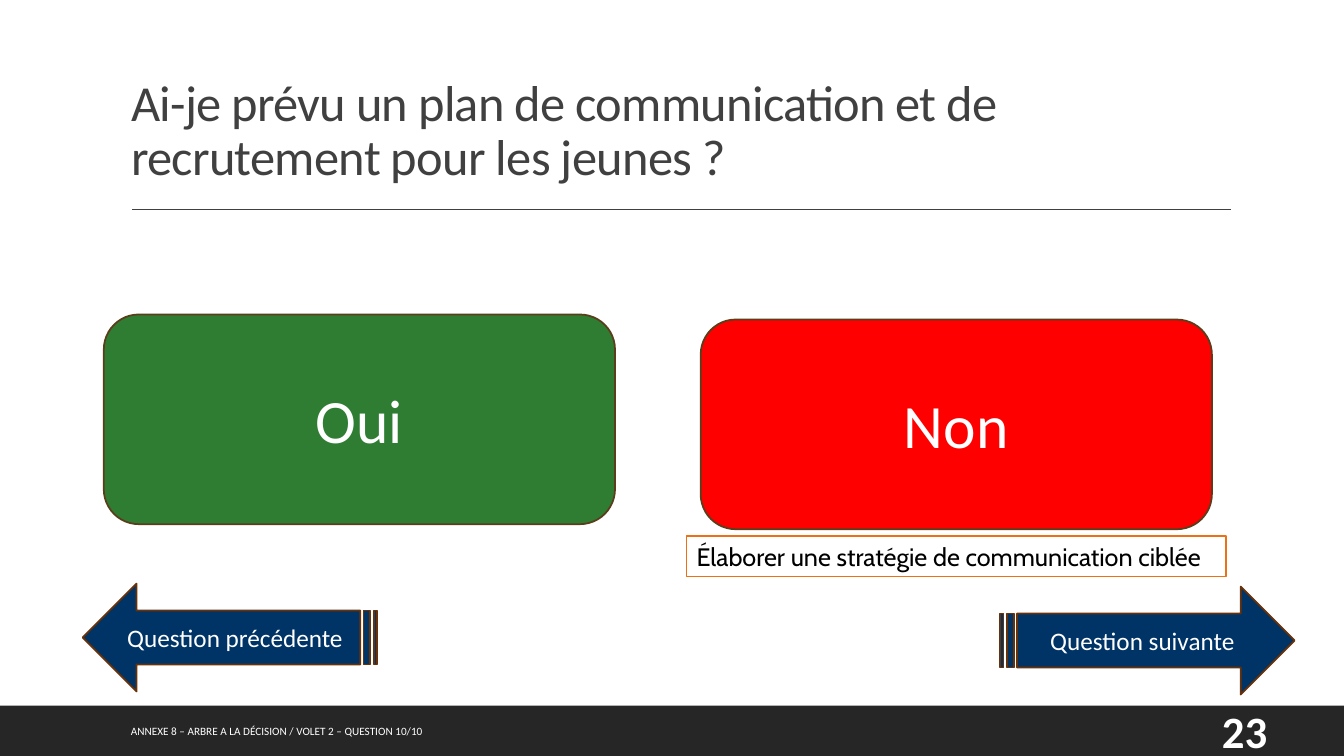
from pptx import Presentation
from pptx.dml.color import RGBColor
from pptx.enum.shapes import MSO_CONNECTOR, MSO_SHAPE
from pptx.enum.text import MSO_ANCHOR, MSO_AUTO_SIZE, PP_ALIGN
from pptx.oxml.ns import qn
from pptx.util import Inches, Pt
from lxml.etree import SubElement


def write(shape, text, size, color, align, anchor=MSO_ANCHOR.MIDDLE, font="Calibri"):
    frame = shape.text_frame
    frame.word_wrap = True
    frame.vertical_anchor = anchor
    para = frame.paragraphs[0]
    para.alignment = align
    span = para.add_run()
    span.text = text
    span.font.name = font
    span.font.size = Pt(size)
    span.font.color.rgb = RGBColor.from_string(color)
    return para, span


def paint(shape, fill, line=None):
    shape.fill.solid()
    shape.fill.fore_color.rgb = RGBColor.from_string(fill)
    if line:
        shape.line.color.rgb = RGBColor.from_string(line)
        shape.line.width = Pt(1.25)
    else:
        shape.line.fill.background()
    shape.shadow.inherit = False


deck = Presentation()
deck.slide_width = Inches(13.33)
deck.slide_height = Inches(7.5)
page = deck.slides.add_slide(deck.slide_layouts[5])
shapes = page.shapes

footer_band = shapes.add_shape(MSO_SHAPE.RECTANGLE, 0, Inches(7), Inches(13.33), Inches(0.5))
paint(footer_band, "262626")

rule = shapes.add_connector(
    MSO_CONNECTOR.STRAIGHT, Inches(1.31), Inches(2.08), Inches(12.21), Inches(2.08))
rule.line.color.rgb = RGBColor.from_string("404040")
rule.line.width = Pt(1)
SubElement(rule._element.spPr, qn("a:effectLst"))

title = shapes.title
title.left, title.top = Inches(1.2), Inches(0.31)
title.width, title.height = Inches(11), Inches(1.59)
para, span = write(
    title, "Ai-je prévu un plan de communication et de recrutement pour les jeunes ?",
    36, "404040", PP_ALIGN.LEFT, MSO_ANCHOR.BOTTOM)
title.text_frame.auto_size = MSO_AUTO_SIZE.NONE
para.line_spacing = 0.9
span.font._element.set("spc", "-50")

advice = shapes.add_textbox(Inches(6.81), Inches(5.32), Inches(5.35), Inches(0.4))
paint(advice, "FFFFFF", "EC7016")
write(advice, "Élaborer une stratégie de communication ciblée",
      18, "000000", PP_ALIGN.LEFT, MSO_ANCHOR.TOP, "Cabin")
advice.text_frame.word_wrap = False
advice.text_frame.auto_size = MSO_AUTO_SIZE.SHAPE_TO_FIT_TEXT

for text, left, top, fill in [("Oui", 1.03, 3.12, "2E7D32"), ("Non", 6.95, 3.17, "FF0000")]:
    answer = shapes.add_shape(
        MSO_SHAPE.ROUNDED_RECTANGLE, Inches(left), Inches(top), Inches(5.07), Inches(2.08))
    paint(answer, fill, "5A3E1B")
    write(answer, text, 44, "FFFFFF", PP_ALIGN.CENTER)

for text, left, top, flipped in [
    ("Question suivante", 9.92, 5.82, False),
    ("Question précédente", 0.82, 5.79, True),
]:
    arrow = shapes.add_shape(
        MSO_SHAPE.STRIPED_RIGHT_ARROW, Inches(left), Inches(top), Inches(2.92), Inches(1.07))
    paint(arrow, "003366", "67310A")
    write(arrow, text, 18, "FFFFFF", PP_ALIGN.CENTER)
    if flipped:
        arrow._element.spPr.xfrm.set("flipH", "1")

for text, left, width, size, align, bold in [
    ("ANNEXE 8 – ARBRE A LA DÉCISION / VOLET 2 – QUESTION 10/10",
     1.2, 7.46, 8, PP_ALIGN.JUSTIFY, False),
    ("23", 12.02, 0.85, 32, PP_ALIGN.LEFT, True),
]:
    box = shapes.add_textbox(Inches(left), Inches(7.05), Inches(width), Inches(0.4))
    para, span = write(box, text, size, "FFFFFF", align)
    span.font.bold = bold

deck.save("out.pptx")
